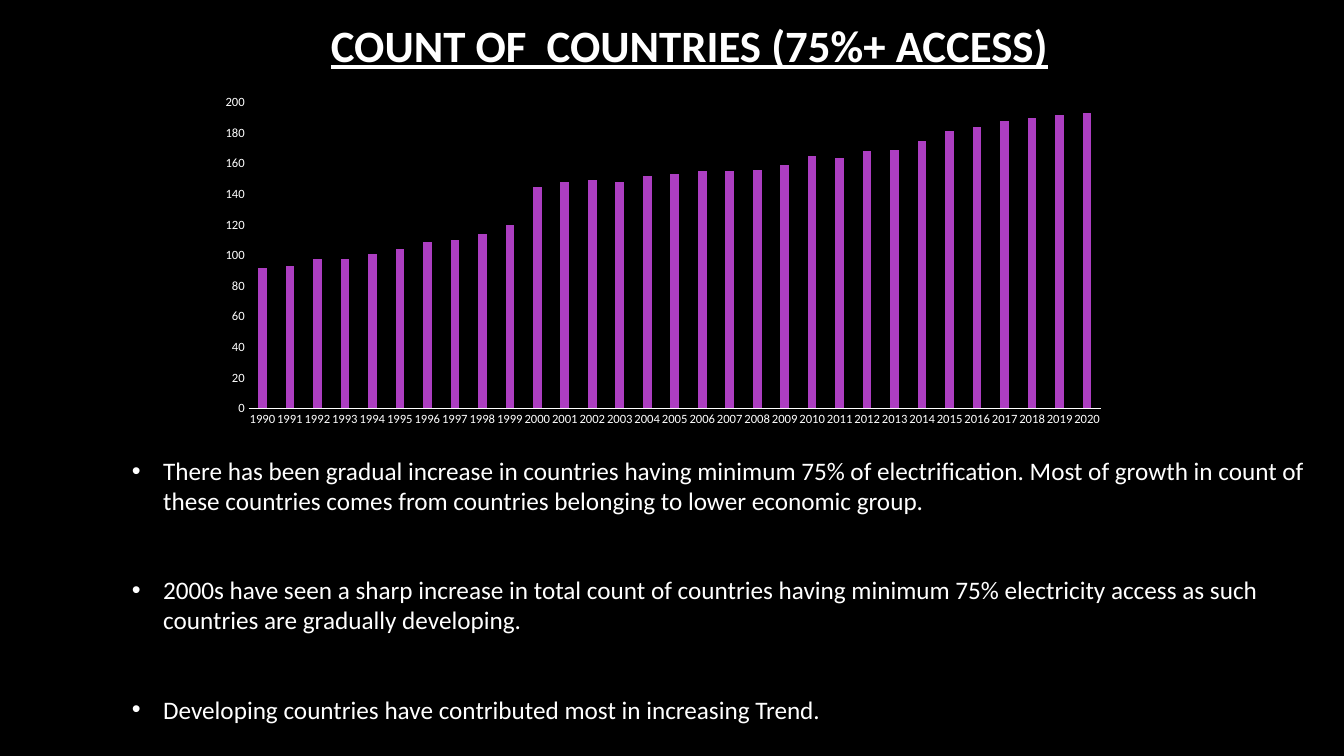
from lxml import etree
from pptx import Presentation
from pptx.chart.data import CategoryChartData
from pptx.dml.color import RGBColor
from pptx.enum.chart import XL_CHART_TYPE as CHART, XL_TICK_MARK as TICK
from pptx.enum.text import MSO_ANCHOR as ANCHOR, PP_ALIGN as ALIGN
from pptx.oxml import parse_xml
from pptx.oxml.ns import nsdecls, qn
from pptx.util import Inches, Pt

WHITE, BLACK, PURPLE = "FFFFFF", "000000", "AC3EC1"


def rgb(color):
    return RGBColor.from_string(color)


def style(font, size):
    """Set a font to white Calibri of the given point size."""
    font.name, font.size = "Calibri", Pt(size)
    font.color.rgb = rgb(WHITE)


prs = Presentation()
prs.slide_width, prs.slide_height = Inches(13.33), Inches(7.5)
s = prs.slides.add_slide(prs.slide_layouts[6])
s.background.fill.solid()
s.background.fill.fore_color.rgb = rgb(BLACK)

# Title
title = s.shapes.add_textbox(Inches(1.67), Inches(-0.02), Inches(10.34), Inches(0.93))
tf = title.text_frame
tf.word_wrap, tf.vertical_anchor = True, ANCHOR.MIDDLE
p = tf.paragraphs[0]
p.alignment = ALIGN.CENTER
r = p.add_run()
r.text = "COUNT OF  COUNTRIES (75%+ ACCESS)"
style(r.font, 32)
r.font.bold = r.font.underline = True

# Findings
findings = [
    "There has been gradual increase in countries having minimum 75% of electrification. "
    "Most of growth in count of these countries comes from countries belonging to lower economic group.",
    "2000s have seen a sharp increase in total count of countries having minimum 75% "
    "electricity access as such countries are gradually developing.",
    "Developing countries have contributed most in increasing Trend.",
]
body = s.shapes.add_textbox(Inches(1.21), Inches(4.2), Inches(12.12), Inches(3.3))
tf = body.text_frame
tf.word_wrap, tf.vertical_anchor = True, ANCHOR.MIDDLE
for i, finding in enumerate(findings):
    p = tf.add_paragraph() if i else tf.paragraphs[0]
    p.space_after = Pt(42 if i < len(findings) - 1 else 10)
    pPr = p._p.get_or_add_pPr()
    pPr.set("marL", str(Inches(0.31)))
    pPr.set("indent", str(Inches(-0.31)))
    pPr.append(parse_xml(f'<a:buClr {nsdecls("a")}><a:srgbClr val="{WHITE}"/></a:buClr>'))
    pPr.append(parse_xml(f'<a:buFont {nsdecls("a")} typeface="Arial"/>'))
    pPr.append(parse_xml(f'<a:buChar {nsdecls("a")} char="•"/>'))
    r = p.add_run()
    r.text = finding
    style(r.font, 18)

# Column chart, one column a year
counts = [92, 93, 98, 98, 101, 104, 109, 110, 114, 120, 145, 148, 149, 148, 152, 153,
          155, 155, 156, 159, 165, 164, 168, 169, 175, 181, 184, 188, 190, 192, 193]
data = CategoryChartData()
data.categories = [str(1990 + i) for i in range(len(counts))]
data.add_series("Series 1", counts)
chart = s.shapes.add_chart(CHART.COLUMN_CLUSTERED, Inches(2.06), Inches(0.88),
                           Inches(9.04), Inches(3.42), data).chart
chart.has_title = chart.has_legend = False
style(chart.font, 10)

plot = chart.plots[0]
plot.vary_by_categories = False
plot.gap_width, plot.overlap = 219, -27
fill = plot.series[0].format.fill
fill.solid()
fill.fore_color.rgb = rgb(PURPLE)

years, scale = chart.category_axis, chart.value_axis
for axis in (years, scale):
    axis.major_tick_mark = axis.minor_tick_mark = TICK.NONE
    axis.has_major_gridlines = False
    style(axis.tick_labels.font, 9)
    axis._element.find(qn("c:txPr")).find(qn("a:bodyPr")).set("rot", "0")
years.format.line.color.rgb = rgb(WHITE)
years.format.line.width = Pt(0.75)
scale.format.line.fill.background()
scale.minimum_scale, scale.maximum_scale, scale.major_unit = 0, 200, 20

# Inner plot area, as fractions of the chart
area = chart._chartSpace.chart.plotArea
for old in area.findall(qn("c:layout")):
    area.remove(old)
layout = parse_xml(f'<c:layout {nsdecls("c")}><c:manualLayout/></c:layout>')
settings = [("layoutTarget", "inner"), ("xMode", "edge"), ("yMode", "edge"),
            ("x", "0.045"), ("y", "0.04"), ("w", "0.935"), ("h", "0.888")]
for tag, val in settings:
    etree.SubElement(layout[0], qn(f"c:{tag}")).set("val", val)
area.insert(0, layout)

prs.save("out.pptx")
